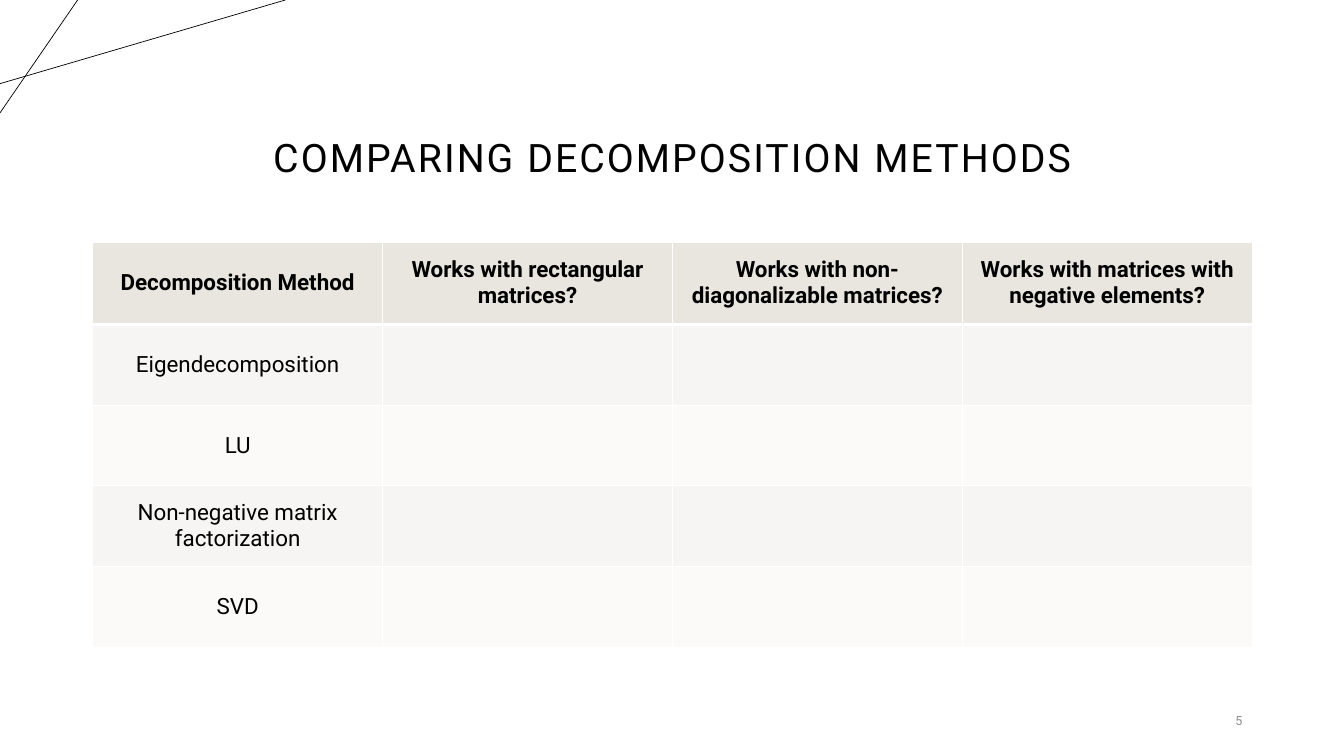
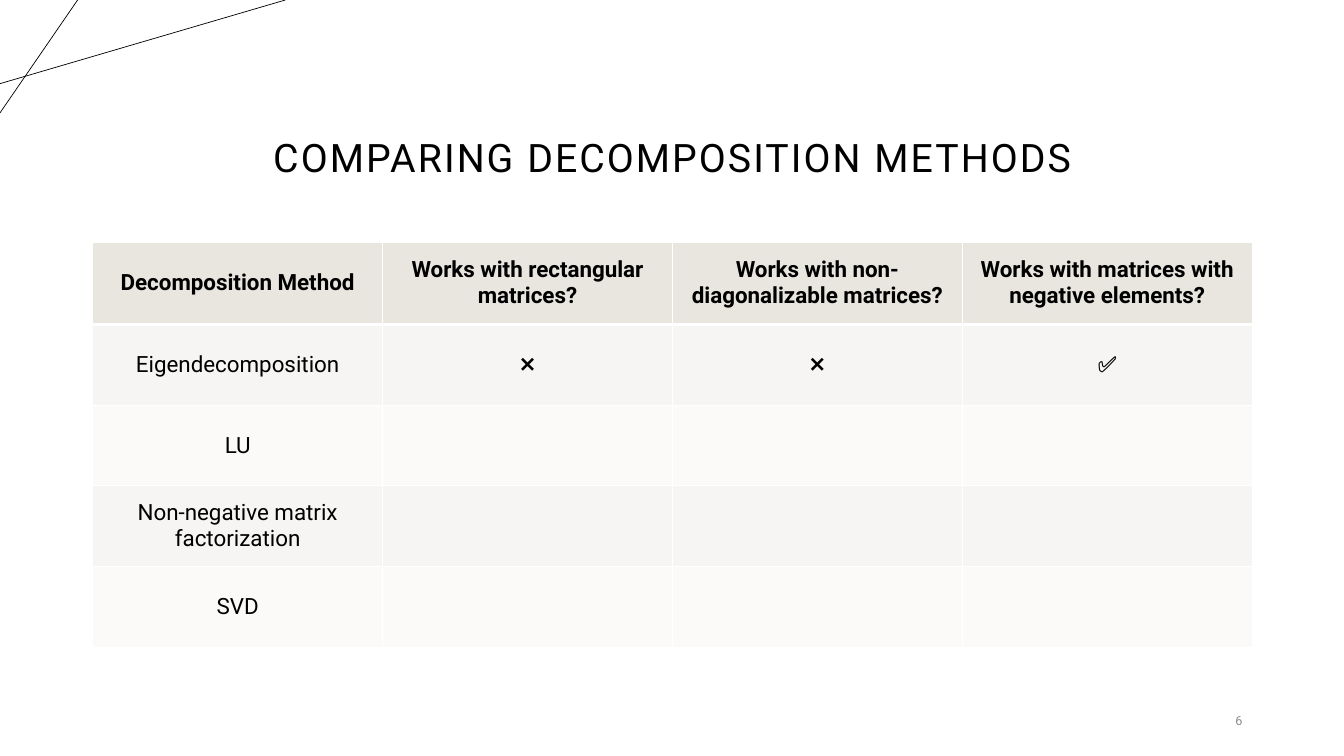
from lxml import etree
from pptx import Presentation
from pptx.dml.color import RGBColor
from pptx.enum.shapes import MSO_CONNECTOR
from pptx.enum.text import MSO_ANCHOR, PP_ALIGN
from pptx.oxml.ns import qn
from pptx.util import Inches, Pt

STRAIGHT = MSO_CONNECTOR.STRAIGHT
MIDDLE, BOTTOM = MSO_ANCHOR.MIDDLE, MSO_ANCHOR.BOTTOM
CENTER, RIGHT = PP_ALIGN.CENTER, PP_ALIGN.RIGHT

FONT = "Roboto"
BLACK, WHITE, GRAY = "000000", "FFFFFF", "8C8C8C"
HEADER_FILL, ROW_FILLS = "E9E6DF", ("F7F5F3", "FBFAF9")

TITLE = "COMPARING DECOMPOSITION METHODS"
HEADERS = [
    "Decomposition Method",
    "Works with rectangular matrices?",
    "Works with non-diagonalizable matrices?",
    "Works with matrices with negative elements?",
]
METHODS = ["Eigendecomposition", "LU", "Non-negative matrix factorization", "SVD"]
# Page number and the answers revealed so far
PAGES = [(5, {}), (6, {"Eigendecomposition": ["❌", "❌", "✅"]})]
CORNER_LINES = [(0, 0.83, 2.83, 0), (0.77, 0, 0, 1.12)]
LEFT, WIDTH = 0.92, 11.5
HEADER_HEIGHT, ROW_HEIGHT = 0.82, 0.8


def write(frame, text, size, color=BLACK, align=CENTER, bold=False):
    """Fill a text frame with one formatted paragraph and return it."""
    frame.word_wrap = True
    paragraph = frame.paragraphs[0]
    paragraph.text = text
    paragraph.alignment = align
    for run in paragraph.runs:
        run.font.name = FONT
        run.font.size = Pt(size)
        run.font.bold = bold
        run.font.color.rgb = RGBColor.from_string(color)
    return paragraph


def add_borders(cell, widths):
    """Give a cell white borders; widths in points are left, right, top, bottom."""
    properties = cell._tc.get_or_add_tcPr()
    for position, (side, width) in enumerate(zip("LRTB", widths)):
        border = etree.Element(qn(f"a:ln{side}"), w=str(Pt(width)))
        fill = etree.SubElement(border, qn("a:solidFill"))
        etree.SubElement(fill, qn("a:srgbClr"), val=WHITE)
        properties.insert(position, border)


prs = Presentation()
prs.slide_width, prs.slide_height = Inches(13.33), Inches(7.5)

for page_number, answers in PAGES:
    slide = prs.slides.add_slide(prs.slide_layouts[6])

    for ends in CORNER_LINES:
        corner_line = slide.shapes.add_connector(STRAIGHT, *map(Inches, ends))
        corner_line.line.color.rgb = RGBColor.from_string(BLACK)
        corner_line.line.width = Pt(0.5)
        etree.SubElement(corner_line._element.spPr, qn("a:effectLst"))

    title = slide.shapes.add_textbox(
        Inches(LEFT), Inches(0.39), Inches(WIDTH), Inches(1.45)).text_frame
    title.vertical_anchor = BOTTOM
    heading = write(title, TITLE, 28)
    heading.line_spacing = 0.9
    heading.runs[0].font._element.set("spc", "150")

    rows = [HEADERS] + [[method] + answers.get(method, [""] * 3) for method in METHODS]
    comparison = slide.shapes.add_table(
        len(rows), len(HEADERS), Inches(LEFT), Inches(2.4), Inches(WIDTH),
        Inches(HEADER_HEIGHT + ROW_HEIGHT * len(METHODS))).table
    for r, texts in enumerate(rows):
        is_header = r == 0
        comparison.rows[r].height = Inches(HEADER_HEIGHT if is_header else ROW_HEIGHT)
        row_fill = HEADER_FILL if is_header else ROW_FILLS[(r - 1) % 2]
        for c, text in enumerate(texts):
            cell = comparison.cell(r, c)
            cell.vertical_anchor = MIDDLE
            cell.fill.solid()
            cell.fill.fore_color.rgb = RGBColor.from_string(row_fill)
            write(cell.text_frame, text, 16, bold=is_header)
            add_borders(cell, (1, 1, 3 if r == 1 else 1, 3 if is_header else 1))

    footer = slide.shapes.add_textbox(
        Inches(11.34), Inches(6.95), Inches(1.08), Inches(0.4)).text_frame
    footer.vertical_anchor = MIDDLE
    write(footer, str(page_number), 9, GRAY, RIGHT)

prs.save("out.pptx")
